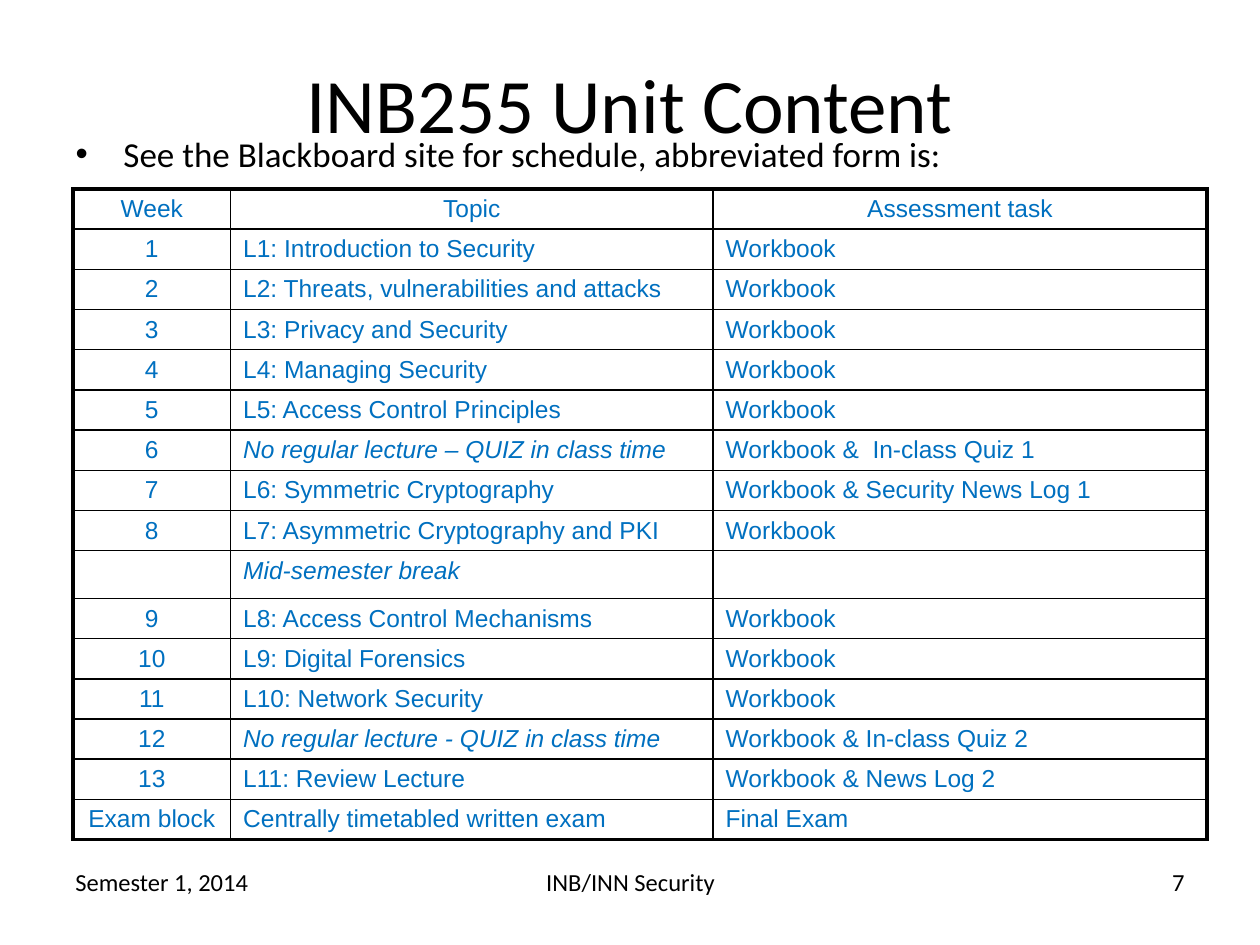
from lxml.etree import SubElement
from pptx import Presentation
from pptx.dml.color import RGBColor
from pptx.enum.text import MSO_ANCHOR, MSO_AUTO_SIZE, PP_ALIGN
from pptx.oxml.ns import qn
from pptx.util import Inches, Pt

HUES = {"ink": "000000", "cell": "0070C0"}
LEFT, MID, RIGHT = PP_ALIGN.LEFT, PP_ALIGN.CENTER, PP_ALIGN.RIGHT
TITLE = "INB255 Unit Content"
LEAD = "See the Blackboard site for schedule, abbreviated form is:"
FEET = [
    ("Semester 1, 2014", 0.5, 2.33, LEFT),
    ("INB/INN Security", 3.42, 3.17, MID),
    ("7", 7.17, 2.33, RIGHT),
]
BREAK = "Mid-semester break"
ROWS = [
    ("Week", "Topic", "Assessment task"),
    ("1", "L1: Introduction to Security", "Workbook"),
    ("2", "L2: Threats, vulnerabilities and attacks", "Workbook"),
    ("3", "L3: Privacy and Security", "Workbook"),
    ("4", "L4: Managing Security", "Workbook"),
    ("5", "L5: Access Control Principles", "Workbook"),
    ("6", "No regular lecture – QUIZ in class time", "Workbook &  In-class Quiz 1"),
    ("7", "L6: Symmetric Cryptography", "Workbook & Security News Log 1"),
    ("8", "L7: Asymmetric Cryptography and PKI", "Workbook"),
    ("", BREAK, ""),
    ("9", "L8: Access Control Mechanisms", "Workbook"),
    ("10", "L9: Digital Forensics", "Workbook"),
    ("11", "L10: Network Security", "Workbook"),
    ("12", "No regular lecture - QUIZ in class time", "Workbook & In-class Quiz 2"),
    ("13", "L11: Review Lecture", "Workbook & News Log 2"),
    ("Exam block", "Centrally timetabled written exam", "Final Exam"),
]
WIDTHS = [1.25, 3.83, 3.92]
HIGH, TALL = 0.319, 0.38
THIN, THICK = 1, 2.25
PADS = {"margin_top": Inches(0.05), "margin_bottom": Inches(0.02)}


def apply(item, form):
    """Set each attribute of a format dict."""
    for key, value in form.items():
        setattr(item, key, value)


def write(frame, text, size, face="Calibri", hue="ink", align=LEFT, italic=False):
    """Put one formatted line in a text frame."""
    para = frame.paragraphs[0]
    para.alignment = align
    if text:
        run = para.add_run()
        run.text = text
        apply(run.font, {"size": Pt(size), "name": face, "italic": italic})
        run.font.color.rgb = RGBColor.from_string(HUES[hue])
    return para


def place(shape, left, top, width, height):
    """Move and size a shape."""
    box = {"left": left, "top": top, "width": width, "height": height}
    apply(shape, {key: Inches(value) for key, value in box.items()})


def edge(cell, sides):
    """Draw the borders of a cell."""
    props = cell._tc.get_or_add_tcPr()
    for side, width in sides.items():
        line = SubElement(props, qn(f"a:ln{side}"), w=str(Pt(width)))
        fill = SubElement(line, qn("a:solidFill"))
        SubElement(fill, qn("a:srgbClr"), val=HUES["ink"])


def heads(slide):
    """Fill the title and body placeholders."""
    title, body = slide.shapes.title, slide.placeholders[1]
    place(title, 0.5, 0.3, 9, 1.03)
    place(body, 0.5, 1, 9, 0.86)
    for shape in (title, body):
        apply(shape.text_frame, {"word_wrap": True, "auto_size": MSO_AUTO_SIZE.NONE})
    title.text_frame.vertical_anchor = MSO_ANCHOR.MIDDLE
    write(title.text_frame, TITLE, 44, align=MID)
    para = write(body.text_frame, LEAD, 20)
    para.space_before = Pt(0)
    props = para._p.get_or_add_pPr()
    props.set("marL", str(Inches(0.38)))
    props.set("indent", str(-Inches(0.38)))
    SubElement(props, qn("a:buChar"), char="•")


def grid(slide):
    """Build the schedule table."""
    size = [Inches(n) for n in (0.58, 1.5, sum(WIDTHS), HIGH * len(ROWS))]
    table = slide.shapes.add_table(len(ROWS), len(WIDTHS), *size).table
    apply(table, {"first_row": False, "horz_banding": False})
    for col, width in zip(table.columns, WIDTHS):
        col.width = Inches(width)
    end, last = len(ROWS) - 1, len(WIDTHS) - 1
    for r, row in enumerate(ROWS):
        table.rows[r].height = Inches(TALL if row[1] == BREAK else HIGH)
        for c, text in enumerate(row):
            cell = table.cell(r, c)
            apply(cell, PADS)
            align = MID if r == 0 or c == 0 else LEFT
            slant = text == BREAK or text.startswith("No regular")
            write(cell.text_frame, text, 14, "Arial", "cell", align, slant)
            outer = {"L": c == 0, "R": c == last, "T": r == 0, "B": r == end}
            edge(cell, {s: THICK if out else THIN for s, out in outer.items()})
            cell.fill.background()


def main():
    """Build and save the slide."""
    deck = Presentation()
    apply(deck, {"slide_width": Inches(10), "slide_height": Inches(7.5)})
    slide = deck.slides.add_slide(deck.slide_layouts[1])
    for text, left, width, align in FEET:
        box = slide.shapes.add_textbox(0, 0, 0, 0)
        place(box, left, 6.83, width, 0.52)
        box.text_frame.word_wrap = True
        write(box.text_frame, text, 14, align=align)
    heads(slide)
    grid(slide)
    deck.save("out.pptx")


if __name__ == "__main__":
    main()
